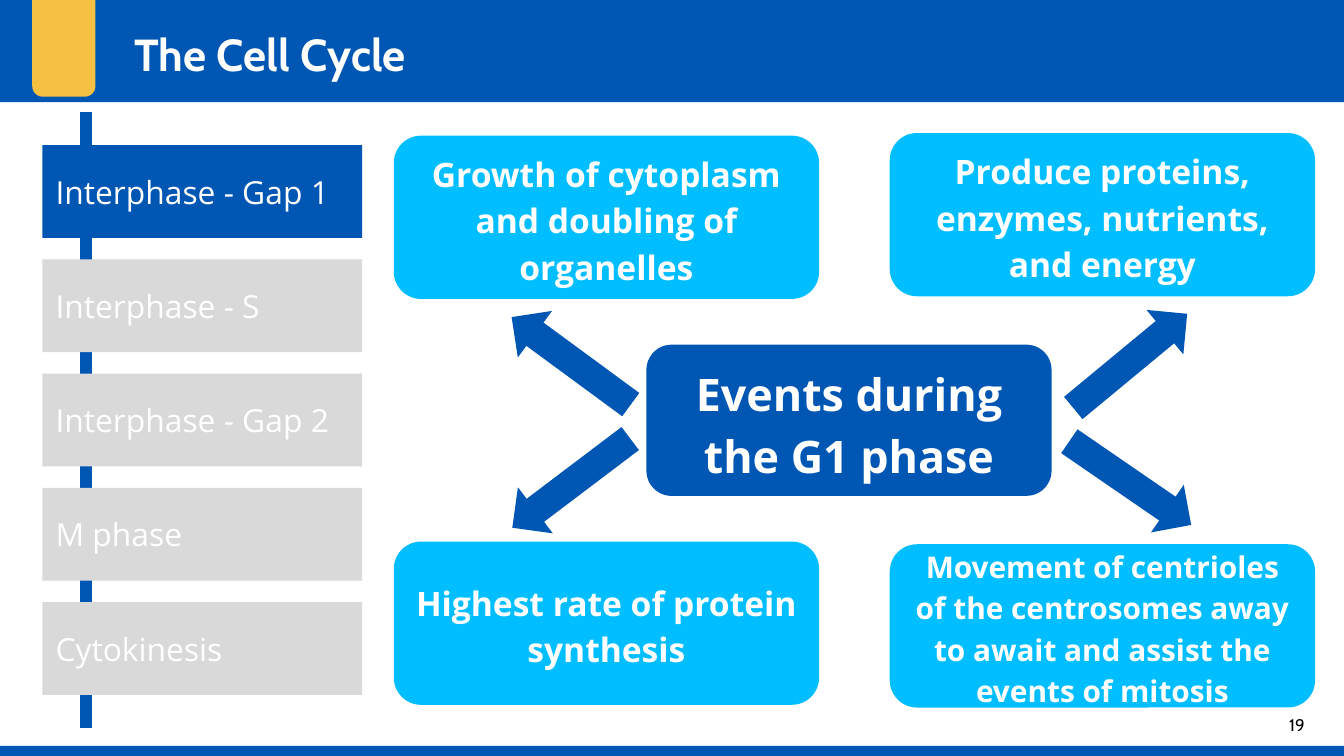
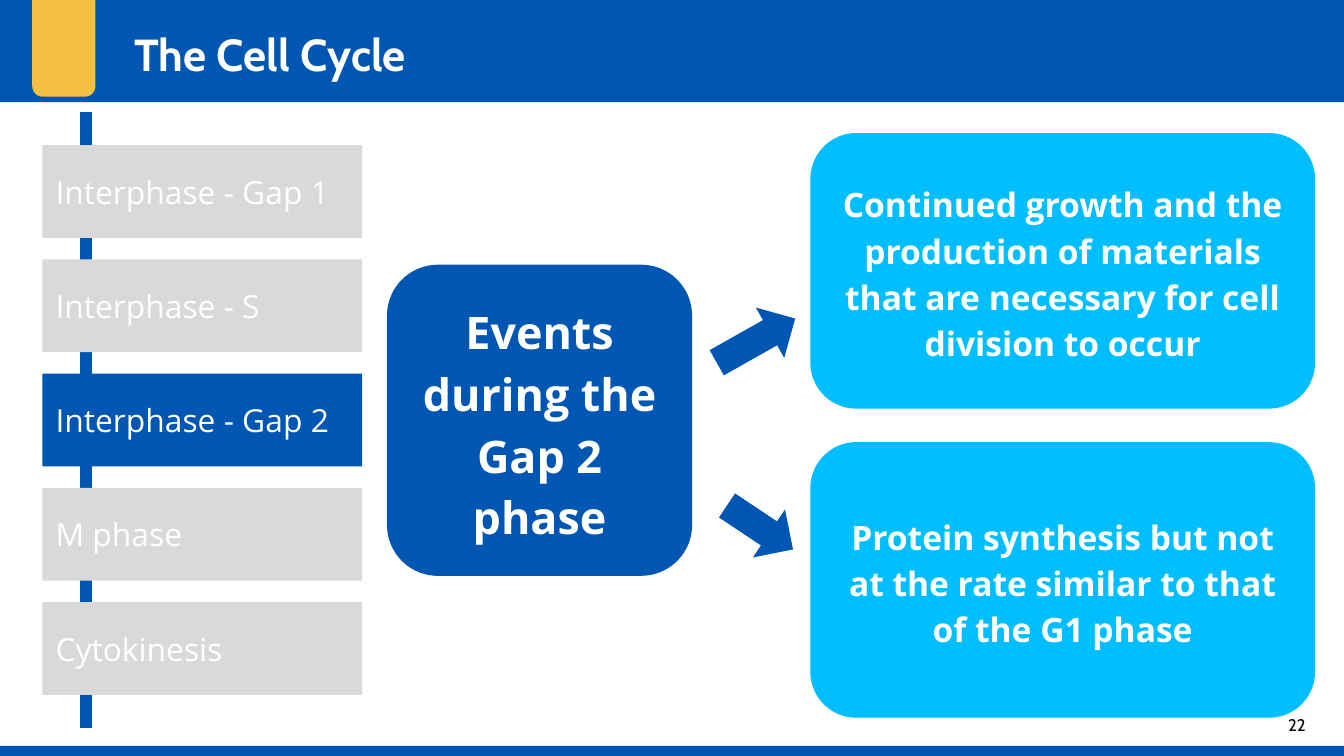
from dataclasses import dataclass
from typing import Any

import pptx
import pptx.dml.color
import pptx.enum.shapes
import pptx.enum.text
import pptx.oxml.ns
import pptx.presentation
import pptx.shapes.autoshape
import pptx.slide
import pptx.util
from lxml import etree

RGBColor = pptx.dml.color.RGBColor
BLUE = RGBColor(0x00, 0x56, 0xB3)
SKY = RGBColor(0x00, 0xBE, 0xFF)
GOLD = RGBColor(0xF6, 0xC1, 0x42)
GREY = RGBColor(0xD9, 0xD9, 0xD9)
WHITE = RGBColor(0xFF, 0xFF, 0xFF)
BLACK = RGBColor(0x00, 0x00, 0x00)

Kind = pptx.enum.shapes.MSO_SHAPE
Align = pptx.enum.text.PP_ALIGN
Anchor = pptx.enum.text.MSO_ANCHOR

EMU_PER_PX = 4572
SLIDE_WIDTH, SLIDE_HEIGHT = 2000, 1125
INSET = 20
TITLE = "The Cell Cycle"
STAGES = ("Interphase - Gap 1", "Interphase - S", "Interphase - Gap 2", "M phase", "Cytokinesis")
STAGE_TOP, STAGE_STEP = 216, 170


def px(length: int) -> pptx.util.Emu:
    return pptx.util.Emu(length * EMU_PER_PX)


@dataclass(frozen=True)
class Area:
    left: int
    top: int
    width: int
    height: int

    def emu(self) -> tuple[pptx.util.Emu, ...]:
        return px(self.left), px(self.top), px(self.width), px(self.height)


@dataclass(frozen=True)
class TextStyle:
    size: int
    font: str = "Open Sans"
    color: RGBColor = WHITE
    bold: bool = False
    align: Align = Align.CENTER
    anchor: Anchor = Anchor.MIDDLE
    spacing: float = 1.0


@dataclass(frozen=True)
class Card:
    area: Area
    text: str
    fill: RGBColor = SKY
    size: int = 18


@dataclass(frozen=True)
class Arrow:
    area: Area
    rotation: float


@dataclass(frozen=True)
class Page:
    number: int
    active_stage: int
    cards: tuple[Card, ...]
    arrows: tuple[Arrow, ...]


TITLE_STYLE = TextStyle(24, "Cabin", bold=True, align=Align.LEFT, anchor=Anchor.TOP)
NUMBER_STYLE = TextStyle(9, "Cabin", BLACK)
STAGE_STYLE = TextStyle(17, align=Align.LEFT)

BANDS = (
    (Kind.RECTANGLE, Area(-2, -2, 2002, 154), BLUE),
    (Kind.ROUNDED_RECTANGLE, Area(48, -24, 94, 168), GOLD),
    (Kind.RECTANGLE, Area(-2, 1110, 2002, 15), BLUE),
)

PAGES = (
    Page(
        19,
        0,
        (
            Card(Area(962, 513, 603, 225), "Events during the G1 phase", BLUE, 24),
            Card(Area(1324, 198, 633, 243), "Produce proteins, enzymes, nutrients, and energy"),
            Card(Area(586, 202, 633, 243), "Growth of cytoplasm and doubling of organelles"),
            Card(Area(586, 806, 633, 243), "Highest rate of protein synthesis"),
            Card(
                Area(1324, 810, 633, 243),
                "Movement of centrioles of the centrosomes away to await and assist the events of mitosis",
                size=16,
            ),
        ),
        (
            Arrow(Area(1572, 494, 220, 86), 320.4),
            Arrow(Area(1572, 676, 220, 86), 34.5),
            Arrow(Area(740, 494, 220, 86), 216.3),
            Arrow(Area(740, 676, 220, 86), 142.9),
        ),
    ),
    Page(
        22,
        2,
        (
            Card(Area(576, 394, 454, 463), "Events during the Gap 2 phase", BLUE, 24),
            Card(
                Area(1206, 198, 751, 410),
                "Continued growth and the production of materials that are necessary for cell division to occur",
            ),
            Card(
                Area(1206, 658, 751, 410),
                "Protein synthesis but not at the rate similar to that of the G1 phase",
            ),
        ),
        (
            Arrow(Area(1058, 464, 134, 86), 330.6),
            Arrow(Area(1072, 742, 118, 86), 33.7),
        ),
    ),
)


def assign(target: Any, values: dict[str, Any]) -> None:
    for name, value in values.items():
        setattr(target, name, value)


def write(box: pptx.shapes.autoshape.Shape, text: str, style: TextStyle) -> None:
    frame = box.text_frame
    frame.text = text
    assign(
        frame,
        {
            "word_wrap": True,
            "auto_size": pptx.enum.text.MSO_AUTO_SIZE.NONE,
            "vertical_anchor": style.anchor,
            "margin_left": px(INSET),
            "margin_top": px(INSET),
            "margin_right": px(INSET),
            "margin_bottom": px(INSET),
        },
    )
    para = frame.paragraphs[0]
    assign(para, {"alignment": style.align, "line_spacing": style.spacing})
    span = para.runs[0]
    assign(span.font, {"name": style.font, "size": pptx.util.Pt(style.size), "bold": style.bold})
    span.font.color.rgb = style.color


def add_block(
    page: pptx.slide.Slide, kind: Kind, area: Area, fill: RGBColor
) -> pptx.shapes.autoshape.Shape:
    block = page.shapes.add_shape(kind, *area.emu())
    block.shadow.inherit = False
    block.fill.solid()
    block.fill.fore_color.rgb = fill
    block.line.fill.background()
    return block


def add_bands(page: pptx.slide.Slide, layout: pptx.slide.SlideLayout) -> None:
    for index, (kind, area, fill) in enumerate(BANDS):
        band = add_block(page, kind, area, fill).element
        band.nvSpPr.cNvPr.id = 100 + index
        layout.shapes.element.insert(2 + index, band)


def add_heading(page: pptx.slide.Slide, number: int) -> None:
    title = page.shapes.title
    left, top, width, height = Area(180, 20, 1444, 114).emu()
    assign(title, {"left": left, "top": top, "width": width, "height": height})
    write(title, TITLE, TITLE_STYLE)
    box = page.shapes.add_textbox(*Area(1870, 1036, 120, 86).emu())
    write(box, str(number), NUMBER_STYLE)


def add_timeline(page: pptx.slide.Slide, active_stage: int) -> None:
    rail = page.shapes.add_connector(
        pptx.enum.shapes.MSO_CONNECTOR.STRAIGHT, px(128), px(167), px(128), px(1083)
    )
    rail.line.color.rgb = BLUE
    rail.line.width = pptx.util.Pt(6)
    etree.SubElement(rail.element.spPr, pptx.oxml.ns.qn("a:effectLst"))
    for index, stage in enumerate(STAGES):
        area = Area(63, STAGE_TOP + index * STAGE_STEP, 476, 138)
        fill = BLUE if index == active_stage else GREY
        write(add_block(page, Kind.RECTANGLE, area, fill), stage, STAGE_STYLE)


def add_events(page: pptx.slide.Slide, content: Page) -> None:
    for card in content.cards:
        box = add_block(page, Kind.ROUNDED_RECTANGLE, card.area, card.fill)
        write(box, card.text, TextStyle(card.size, bold=True, spacing=1.15))
    for arrow in content.arrows:
        add_block(page, Kind.RIGHT_ARROW, arrow.area, BLUE).rotation = arrow.rotation


def build_deck() -> pptx.presentation.Presentation:
    deck = pptx.Presentation()
    assign(deck, {"slide_width": px(SLIDE_WIDTH), "slide_height": px(SLIDE_HEIGHT)})
    layout = deck.slide_layouts.get_by_name("Title Only")
    pages = [deck.slides.add_slide(layout) for _ in PAGES]
    add_bands(pages[0], layout)
    for page, content in zip(pages, PAGES):
        add_heading(page, content.number)
        add_timeline(page, content.active_stage)
        add_events(page, content)
    return deck


def main() -> None:
    build_deck().save("out.pptx")


if __name__ == "__main__":
    main()
